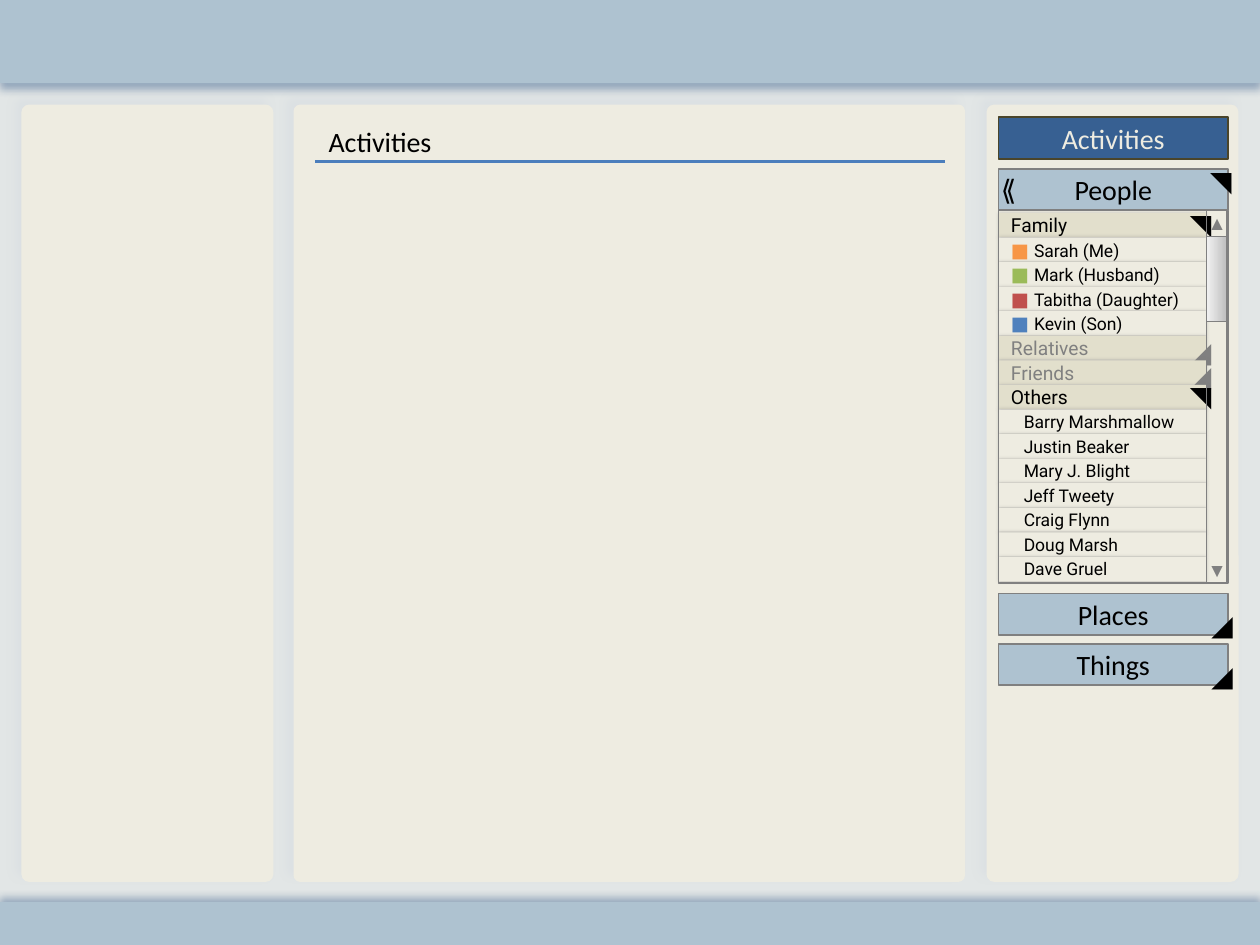
from lxml import etree
from pptx import Presentation
from pptx.dml.color import RGBColor
from pptx.enum.shapes import MSO_CONNECTOR, MSO_SHAPE
from pptx.enum.text import MSO_ANCHOR, PP_ALIGN
from pptx.oxml.ns import qn
from pptx.util import Inches, Pt

RECT, ROUND = MSO_SHAPE.RECTANGLE, MSO_SHAPE.ROUNDED_RECTANGLE
LINE = MSO_CONNECTOR.STRAIGHT
MIDDLE, TOP = MSO_ANCHOR.MIDDLE, MSO_ANCHOR.TOP
LEFT, CENTER = PP_ALIGN.LEFT, PP_ALIGN.CENTER

BLUE, CREAM, SAND = "AEC2D0", "EEECE1", "E2DFCC"
GRAY, BLACK = "808080", "000000"
OPEN, SHUT = "\u25e5", "\u25e2"
PITCH = 0.195
GROUPS = [
    ("Family", True, [("Sarah (Me)", "F79646"), ("Mark (Husband)", "9BBB59"),
                      ("Tabitha (Daughter)", "C0504D"), ("Kevin (Son)", "4F81BD")]),
    ("Relatives", False, []),
    ("Friends", False, []),
    ("Others", True, [(name, None) for name in (
        "Barry Marshmallow", "Justin Beaker", "Mary J. Blight", "Jeff Tweety",
        "Craig Flynn", "Doug Marsh", "Dave Gruel")]),
]


def color(value):
    """Turn a hex string into a colour."""
    return RGBColor.from_string(value)


def shade(shape, tint, blur, dist, angle):
    """Give a shape a soft outer shadow at 40 percent."""
    effects = shape._element.spPr.find(qn("a:effectLst"))
    outer = etree.SubElement(
        effects, qn("a:outerShdw"), blurRad=str(Pt(blur)), dist=str(Pt(dist)),
        dir=str(angle * 60000), algn="ctr", rotWithShape="0")
    paint = etree.SubElement(outer, qn("a:srgbClr"), val=tint)
    etree.SubElement(paint, qn("a:alpha"), val="40000")


def block(slide, box, fill=None, line=None, width=1, kind=RECT, shadow=None):
    """Draw a filled or outlined shape in a box."""
    shape = slide.shapes.add_shape(kind, *map(Inches, box))
    shape.shadow.inherit = False
    if fill:
        shape.fill.solid()
        shape.fill.fore_color.rgb = color(fill)
    else:
        shape.fill.background()
    if line:
        shape.line.color.rgb = color(line)
        shape.line.width = Pt(width)
    else:
        shape.line.fill.background()
    if shadow:
        shade(shape, *shadow)
    return shape


def write(shape, text, size=16, font="Calibri", ink=BLACK, align=LEFT,
          anchor=MIDDLE, inset=0.1, wrap=True):
    """Add a formatted run to the first paragraph of a shape."""
    frame = shape.text_frame
    frame.word_wrap = wrap
    frame.vertical_anchor = anchor
    frame.margin_left = Inches(inset)
    para = frame.paragraphs[0]
    para.alignment = align
    run = para.add_run()
    run.text = text
    run.font.size, run.font.name = Pt(size), font
    run.font.color.rgb = color(ink)


def label(slide, box, text, **style):
    """Place a text box."""
    write(slide.shapes.add_textbox(*map(Inches, box)), text, anchor=TOP, **style)


def mark(slide, left, top, sign, ink=BLACK):
    """Place a corner or arrow sign."""
    label(slide, (left, top, 0.42, 0.37), sign, ink=ink)


def button(slide, left, top, text, fill=BLUE, line=GRAY, ink=BLACK):
    """Draw a menu button."""
    shape = block(slide, (left, top, 1.82, 0.33), fill, line)
    write(shape, text, ink=ink, align=CENTER)


def frame(slide):
    """Draw the three panels and the bars above and below."""
    for left, width, bend in ((7.83, 2, 0.031), (0.17, 2, 0.031), (2.33, 5.33, 0.01)):
        panel = block(slide, (left, 0.83, width, 6.17), CREAM, kind=ROUND,
                      shadow=("D3D9DF", 5, 5, 225))
        panel.adjustments[0] = bend
    for top, height, dist, angle in ((-0.03, 0.69, 3, 90), (7.16, 0.34, 2, 270)):
        bar = block(slide, (0, top, 10, height), BLUE, kind=ROUND,
                    shadow=("1F497D", 5, dist, angle))
        bar.adjustments[0] = 0


def row(slide, left, top, fill):
    """Draw an empty list row."""
    return block(slide, (left, top, 1.65, 0.19), fill, shadow=(GRAY, 2, 0, 90))


def people(slide, left, top):
    """Draw the list of people by group."""
    for title, shown, names in GROUPS:
        ink = BLACK if shown else GRAY
        write(row(slide, left, top, SAND), title, 11, "Roboto", ink)
        mark(slide, left + 1.42, top - (0.1 if shown else 0.06),
             OPEN if shown else SHUT, ink)
        top += PITCH
        for name, tint in names:
            item = row(slide, left, top, CREAM)
            inset = 0.1 if tint else 0.2
            if tint:
                write(item, "\u25a0 ", 11, "Roboto", tint)
            write(item, name, 10, "Roboto", inset=inset)
            top += PITCH


def scroll(slide, left, top, height):
    """Draw the scroll bar with its arrows and thumb."""
    for sign, down in (("\u25b2", -0.04), ("\u25bc", height - 0.25)):
        label(slide, (left - 0.09, top + down, 0.42, 0.29), sign,
              size=11, font="Arial", ink=GRAY)
    thumb = block(slide, (left, top + 0.21, 0.16, 0.67), CREAM, GRAY, 0.75)
    thumb.fill.gradient()
    thumb.fill.gradient_angle = 0
    for stop, tint in zip(thumb.fill.gradient_stops, ("F2F2F2", "BFBFBF")):
        stop.color.rgb = color(tint)
    block(slide, (left, top, 0.16, height), line=GRAY)


def menu(slide, left, top):
    """Draw the menu column with the open people list."""
    button(slide, left, top, "Activities", "376092", "4A452A", CREAM)
    button(slide, left, top + 0.41, "People")
    mark(slide, left - 0.08, top + 0.39, "\u27ea")
    mark(slide, left + 1.58, top + 0.32, OPEN)
    people(slide, left, top + 0.76)
    scroll(slide, left + 1.65, top + 0.74, 2.96)
    block(slide, (left, top + 0.74, 1.82, 2.96), line=GRAY)
    for text, down in (("Places", 3.78), ("Things", 4.18)):
        button(slide, left, top + down, text)
        mark(slide, left + 1.59, top + down + 0.065, SHUT)


def heading(slide, left, top):
    """Write the page heading over its rule."""
    ends = (left, top + 0.34, left + 5, top + 0.34)
    rule = slide.shapes.add_connector(LINE, *map(Inches, ends))
    rule.line.color.rgb = color("4B7EBC")
    rule.line.width = Pt(1.5)
    etree.SubElement(rule._element.spPr, qn("a:effectLst"))
    label(slide, (left + 0.01, top, 1.03, 0.37), "Activities", wrap=False)


def main():
    """Build and save the slide."""
    deck = Presentation()
    deck.slide_width, deck.slide_height = Inches(10), Inches(7.5)
    slide = deck.slides.add_slide(deck.slide_layouts[6])
    slide.background.fill.solid()
    slide.background.fill.fore_color.rgb = color("E2E6E6")
    frame(slide)
    menu(slide, 7.925, 0.93)
    heading(slide, 2.5, 0.94)
    deck.save("out.pptx")


main()
